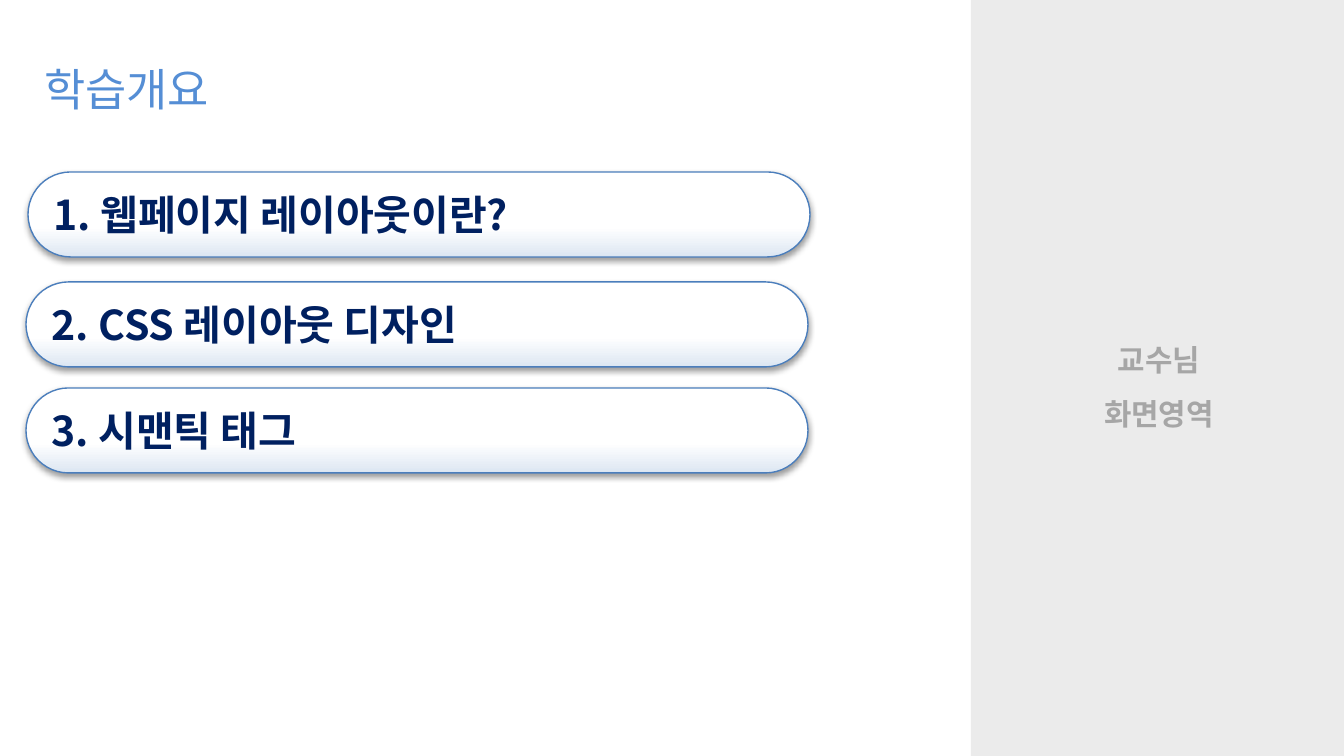
from lxml import etree
from pptx import Presentation
from pptx import util as u
from pptx.dml.color import RGBColor
from pptx.enum import shapes, text
from pptx.oxml import ns

SCALE = u.Inches(10) / 1344
FONT = "Noto Sans CJK KR"
COLORS = {
    "panel": "D9D9D9",
    "panel_text": "A6A6A6",
    "heading": "558ED5",
    "topic": "002060",
    "outline": "4B7EBC",
    "tint": "DCE6F2",
    "white": "FFFFFF",
    "shadow": "000000",
}


def px(*lengths):
    return [u.Emu(round(length * SCALE)) for length in lengths]


def color(name):
    return RGBColor.from_string(COLORS[name])


def write(frame, lines, *, size, fill, font=FONT, bold=False,
          align=text.PP_ALIGN.LEFT, spacing=1.0, anchor=text.MSO_ANCHOR.MIDDLE):
    frame.word_wrap = True
    frame.vertical_anchor = anchor
    for index, line in enumerate(lines):
        paragraph = frame.add_paragraph() if index else frame.paragraphs[0]
        paragraph.alignment = align
        paragraph.line_spacing = spacing
        run = paragraph.add_run()
        run.text = line
        run.font.name = font
        run.font.size = u.Pt(size)
        run.font.bold = bold
        run.font.color.rgb = color(fill)
        east_asian = etree.SubElement(run.font._element, ns.qn("a:ea"))
        east_asian.set("typeface", FONT)


def add_speaker_panel(slide, left, top, width, height):
    panel = slide.shapes.add_shape(
        shapes.MSO_SHAPE.RECTANGLE, *px(left, top, width, height))
    panel.shadow.inherit = False
    panel.line.fill.background()
    panel.fill.solid()
    panel.fill.fore_color.rgb = color("panel")
    tone = panel._element.spPr.find(".//" + ns.qn("a:srgbClr"))
    etree.SubElement(tone, ns.qn("a:alpha")).set("val", "50000")
    write(panel.text_frame, ["교수님", "화면영역"], size=16, fill="panel_text",
          font="Arial", bold=True, align=text.PP_ALIGN.CENTER, spacing=1.5)


def add_heading(slide, left, top, width, height):
    heading = slide.shapes.add_textbox(*px(left, top, width, height))
    write(heading.text_frame, ["학습개요"], size=24, fill="heading",
          spacing=1.1, anchor=text.MSO_ANCHOR.TOP)
    heading.text_frame.auto_size = text.MSO_AUTO_SIZE.SHAPE_TO_FIT_TEXT


def add_drop_shadow(shape):
    shape.shadow.inherit = False
    effects = shape._element.spPr.find(ns.qn("a:effectLst"))
    shadow = etree.SubElement(
        effects, ns.qn("a:outerShdw"), blurRad=str(u.Pt(3.1)),
        dist=str(u.Pt(1.6)), dir="5400000", rotWithShape="0")
    tone = etree.SubElement(shadow, ns.qn("a:srgbClr"), val=COLORS["shadow"])
    etree.SubElement(tone, ns.qn("a:alpha"), val="38000")


def add_topic(slide, label, left, top, width, height):
    topic = slide.shapes.add_shape(
        shapes.MSO_SHAPE.ROUNDED_RECTANGLE, *px(left, top, width, height))
    topic.adjustments[0] = 0.5
    topic.fill.gradient()
    topic.fill.gradient_angle = 90
    stops = zip(topic.fill.gradient_stops, (0, 0.35), ("tint", "white"))
    for stop, position, tone in stops:
        stop.position = position
        stop.color.rgb = color(tone)
    topic.line.color.rgb = color("outline")
    topic.line.width = u.Pt(0.75)
    add_drop_shadow(topic)
    write(topic.text_frame, [label], size=22, fill="topic", bold=True)


def main():
    deck = Presentation()
    deck.slide_width, deck.slide_height = px(1344, 756)
    slide = deck.slides.add_slide(deck.slide_layouts[6])
    add_speaker_panel(slide, 971, 0, 376, 756)
    add_heading(slide, 31, 50, 898, 69)
    topics = [
        ("1. 웹페이지 레이아웃이란?", 28, 172),
        ("2. CSS 레이아웃 디자인", 26, 282),
        ("3. 시맨틱 태그", 26, 388),
    ]
    for label, left, top in topics:
        add_topic(slide, label, left, top, 782, 85)
    deck.save("out.pptx")


if __name__ == "__main__":
    main()
